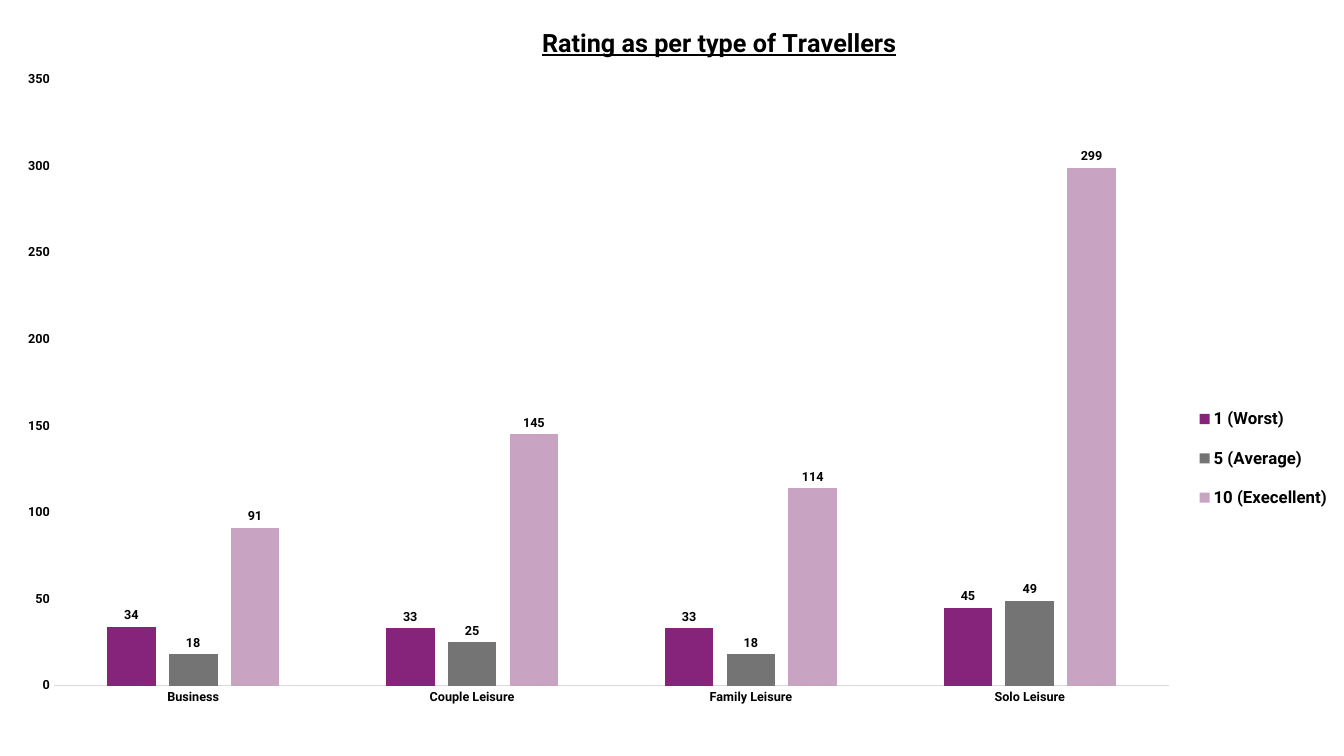
from pptx import Presentation
from pptx.chart.data import CategoryChartData as ChartData
from pptx.dml.color import RGBColor
from pptx.enum.chart import XL_CHART_TYPE as ChartType
from pptx.enum.chart import XL_LABEL_POSITION as LabelPosition
from pptx.enum.chart import XL_LEGEND_POSITION as LegendPosition
from pptx.enum.chart import XL_TICK_MARK as TickMark
from pptx.oxml import parse_xml
from pptx.oxml.ns import nsdecls, qn
from pptx.util import Cm, Pt

COLORS = {
    "text": "000000",
    "axis": "D9D9D9",
    "1 (Worst)": "85247A",
    "5 (Average)": "747474",
    "10 (Execellent)": "C8A4C2",
}
RATINGS = {
    "1 (Worst)": (34, 33, 33, 45),
    "5 (Average)": (18, 25, 18, 49),
    "10 (Execellent)": (91, 145, 114, 299),
}


def format_font(font, size, **extras):
    values = {"name": "Roboto", "size": Pt(size), "bold": True, **extras}
    for attribute, value in values.items():
        setattr(font, attribute, value)
    font.color.rgb = RGBColor.from_string(COLORS["text"])


def place(element, index, **fractions):
    """Set a manual layout in fractions of the chart area."""
    for old_layout in element.findall(qn("c:layout")):
        element.remove(old_layout)
    target = '<c:layoutTarget val="inner"/>' if index == 0 else ""
    modes = '<c:xMode val="edge"/><c:yMode val="edge"/>'
    sizes = "".join(f'<c:{key} val="{value}"/>' for key, value in fractions.items())
    element.insert(index, parse_xml(
        f'<c:layout {nsdecls("c")}><c:manualLayout>{target}{modes}{sizes}'
        "</c:manualLayout></c:layout>"))


# Slide
presentation = Presentation()
presentation.slide_width = Cm(33.87)
presentation.slide_height = Cm(19.05)
slide = presentation.slides.add_slide(presentation.slide_layouts[6])

# Chart with one series per rating
chart_data = ChartData()
chart_data.categories = ["Business", "Couple Leisure", "Family Leisure", "Solo Leisure"]
for rating, counts in RATINGS.items():
    chart_data.add_series(rating, counts)
chart = slide.shapes.add_chart(
    ChartType.COLUMN_CLUSTERED, 0, 0, Cm(33.87), Cm(18.19), chart_data).chart
format_font(chart.font, 10, bold=False)

# Title
chart.has_title = True
title = chart.chart_title
title.include_in_layout = False
title_run = title.text_frame.paragraphs[0].add_run()
title_run.text = "Rating as per type of Travellers"
format_font(title_run.font, 18, underline=True)

# Columns and their values
plot = chart.plots[0]
plot.vary_by_categories = False
plot.gap_width = 219
plot.overlap = -27
for series in plot.series:
    series.format.fill.solid()
    series.format.fill.fore_color.rgb = RGBColor.from_string(COLORS[series.name])
    labels = series.data_labels
    labels.show_value = True
    labels.position = LabelPosition.OUTSIDE_END
    format_font(labels.font, 9)

# Axes
category_axis, value_axis = chart.category_axis, chart.value_axis
for axis in (category_axis, value_axis):
    axis.has_major_gridlines = False
    axis.major_tick_mark = axis.minor_tick_mark = TickMark.NONE
    format_font(axis.tick_labels.font, 9)
category_axis.format.line.color.rgb = RGBColor.from_string(COLORS["axis"])
category_axis.format.line.width = Pt(0.75)
value_axis.format.line.fill.background()
value_axis.minimum_scale = 0
value_axis.maximum_scale = 350
value_axis.major_unit = 50

# Legend
chart.has_legend = True
legend = chart.legend
legend.position = LegendPosition.RIGHT
legend.include_in_layout = False
format_font(legend.font, 12)

# Positions inside the chart
plot_area = chart.element.find(".//" + qn("c:plotArea")) if hasattr(chart, "element") \
    else chart._chartSpace.find(".//" + qn("c:plotArea"))
place(plot_area, 0, x=0.04, y=0.11, w=0.83, h=0.84)
place(title._element, 1, x=0.4, y=0.03)
place(legend._element, 1, x=0.88, y=0.54, w=0.12, h=0.19)

presentation.save("out.pptx")
